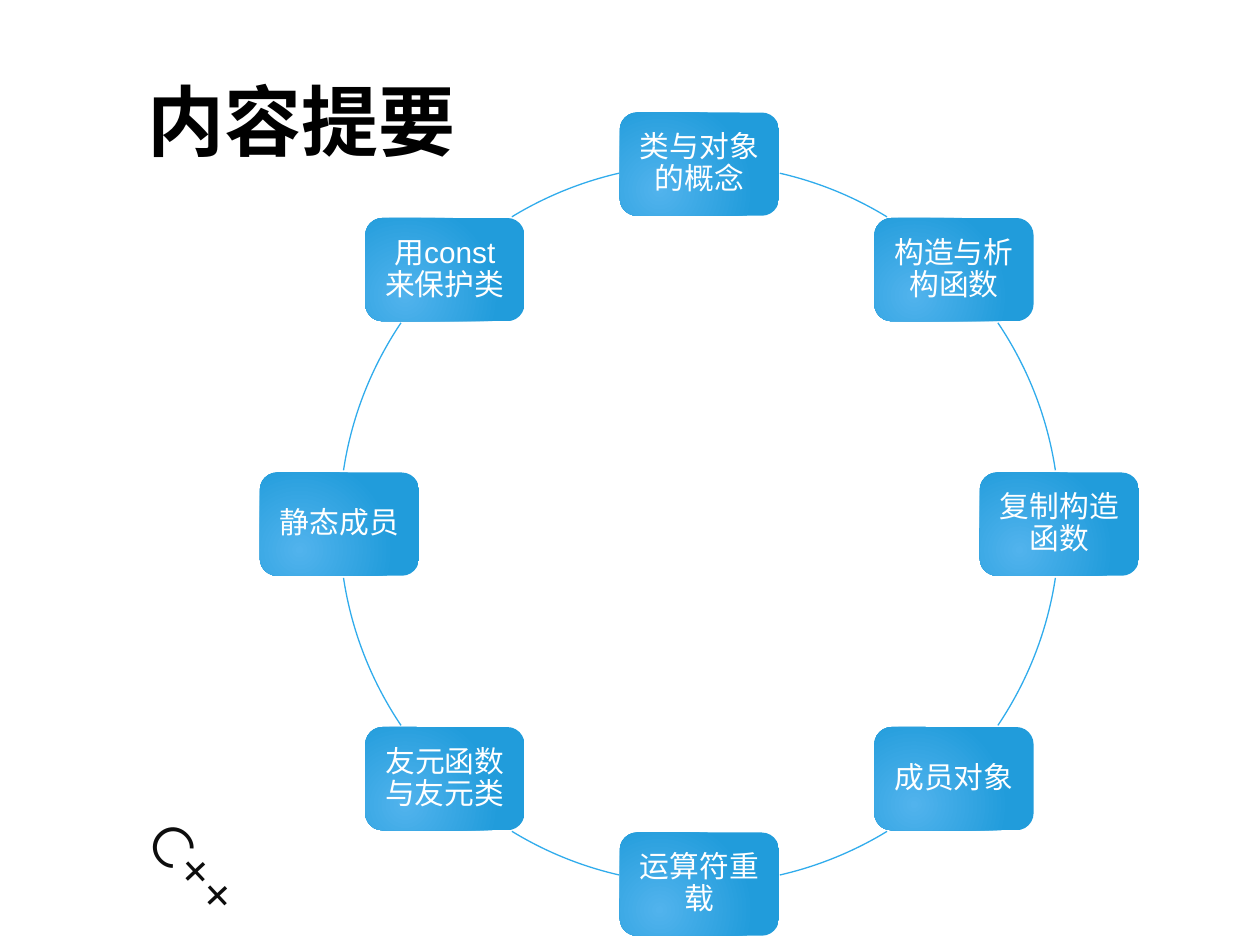
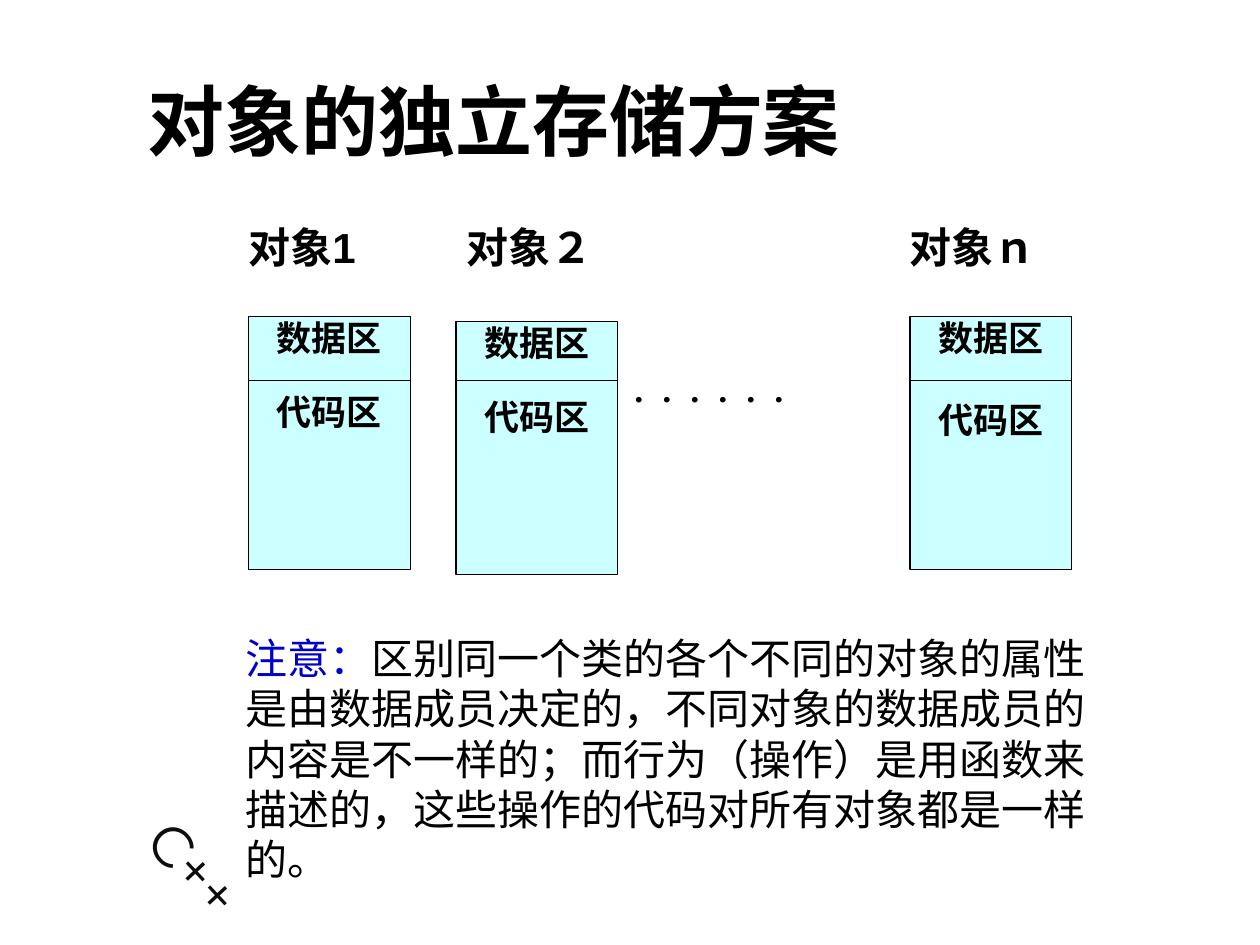
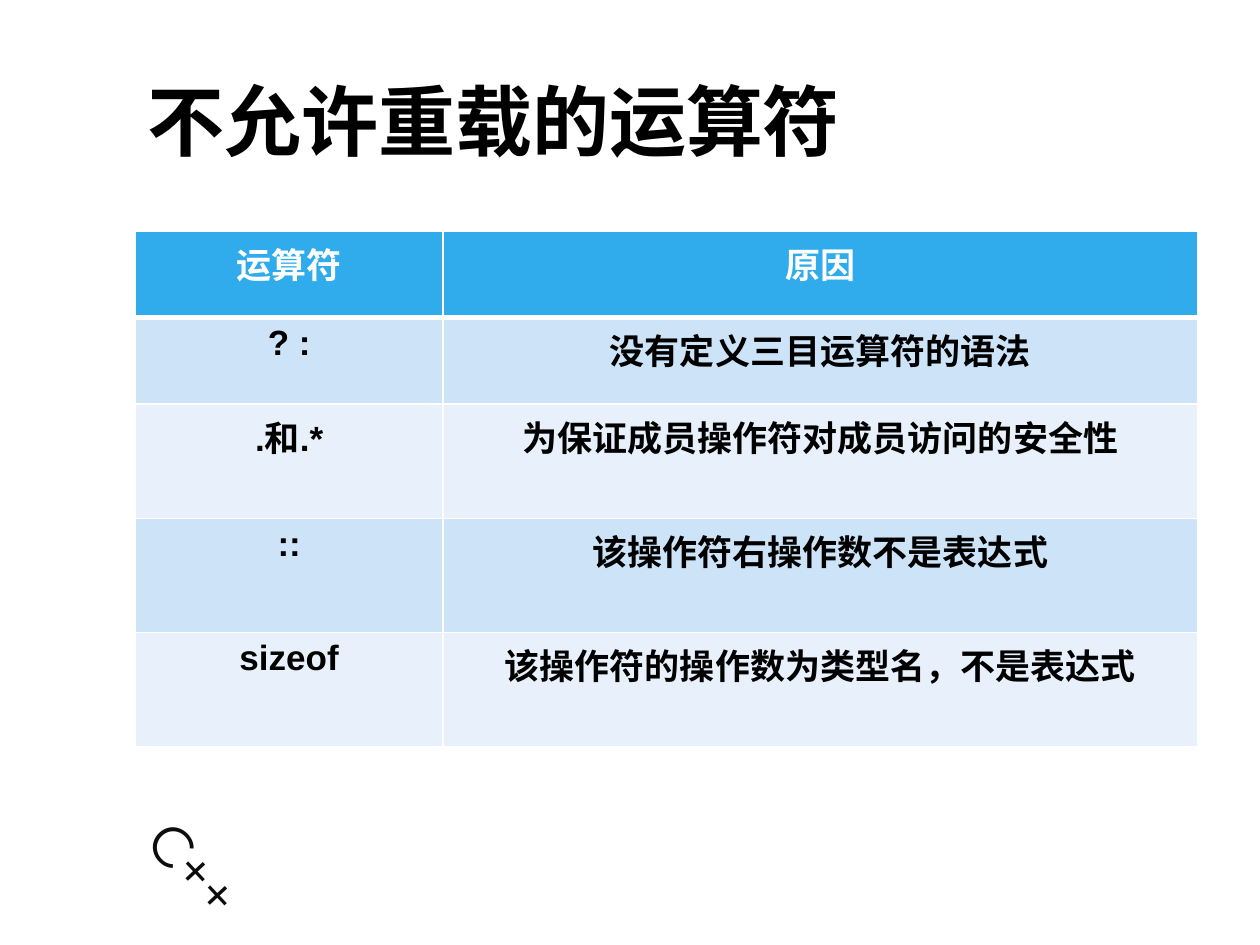
from lxml import etree
from pptx import Presentation
from pptx.dml.color import RGBColor
from pptx.enum.shapes import MSO_CONNECTOR, MSO_SHAPE
from pptx.enum.text import MSO_ANCHOR, PP_ALIGN
from pptx.oxml.ns import qn
from pptx.util import Pt
import math

ROUNDED, RECT, ARC = MSO_SHAPE.ROUNDED_RECTANGLE, MSO_SHAPE.RECTANGLE, MSO_SHAPE.ARC
STRAIGHT = MSO_CONNECTOR.STRAIGHT
TOP, MIDDLE = MSO_ANCHOR.TOP, MSO_ANCHOR.MIDDLE
LEFT, CENTER, JUSTIFY = PP_ALIGN.LEFT, PP_ALIGN.CENTER, PP_ALIGN.JUSTIFY

BLACK = RGBColor(0x00, 0x00, 0x00)
WHITE = RGBColor(0xFF, 0xFF, 0xFF)
INK = RGBColor(0x0D, 0x0D, 0x0D)
NOTICE = RGBColor(0x00, 0x00, 0xCC)
AQUA = RGBColor(0xCC, 0xFF, 0xFF)
SKY = RGBColor(0x30, 0xAC, 0xEC)
NODE_LIGHT = RGBColor(0x51, 0xB3, 0xED)
NODE_DARK = RGBColor(0x21, 0x9C, 0xDB)
BAND_DARK = RGBColor(0xCD, 0xE3, 0xF8)
BAND_LIGHT = RGBColor(0xE8, 0xF1, 0xFB)

TITLE_BOX = (77, 20.9, 607, 95)
BADGE_BOX = (67.7, 488.2, 116, 46)
TOPICS = ["类与对象的概念", "构造与析构函数", "复制构造函数", "成员对象",
          "运算符重载", "友元函数与友元类", "静态成员", "用const来保护类"]
QUARTER_ARCS = [(12.9, 31.4), (56, 81.4)]
OPERATORS = [
    ("运算符", "原因"),
    ("? :", "没有定义三目运算符的语法"),
    (".和.*", "为保证成员操作符对成员访问的安全性"),
    ("::", "该操作符右操作数不是表达式"),
    ("sizeof", "该操作符的操作数为类型名，不是表达式"),
]


def points(*lengths):
    return [Pt(length) for length in lengths]


def style(paragraph, size, color, bold=False, align=LEFT, face="Arial"):
    paragraph.alignment = align
    font = paragraph.font
    font.name, font.size, font.bold = face, Pt(size), bold
    font.color.rgb = color


def set_insets(frame, inset):
    frame.margin_left = frame.margin_right = Pt(inset)
    frame.margin_top = frame.margin_bottom = Pt(inset)


def add_text(slide, box, text, size, color, inset=None, anchor=TOP, **look):
    area = slide.shapes.add_textbox(*points(*box))
    frame = area.text_frame
    frame.word_wrap = True
    frame.vertical_anchor = anchor
    if inset is not None:
        set_insets(frame, inset)
    frame.text = text
    style(frame.paragraphs[0], size, color, **look)
    return area


def add_plain_shape(slide, preset, box):
    shape = slide.shapes.add_shape(preset, *points(*box))
    shape.shadow.inherit = False
    return shape


def add_page(deck, title):
    slide = deck.slides.add_slide(deck.slide_layouts[6])
    badge = add_text(slide, BADGE_BOX, "C++", 32, INK, face="Montserrat")
    badge.rotation = 46.9
    add_text(slide, TITLE_BOX, title, 44, BLACK, anchor=MIDDLE, bold=True)
    return slide


def fill_radial(shape):
    shape.fill.gradient()
    for stop, color in zip(shape.fill.gradient_stops, (NODE_LIGHT, NODE_DARK)):
        stop.color.rgb = color
    gradient = shape._element.spPr.find(qn("a:gradFill"))
    gradient.remove(gradient.find(qn("a:lin")))
    radial = etree.SubElement(gradient, qn("a:path"), {"path": "circle"})
    etree.SubElement(radial, qn("a:fillToRect"),
                     {"l": "50000", "t": "100000", "r": "100000", "b": "50000"})


def add_topic(slide, box, topic):
    node = add_plain_shape(slide, ROUNDED, box)
    fill_radial(node)
    node.line.fill.background()
    frame = node.text_frame
    frame.word_wrap = True
    frame.vertical_anchor = MIDDLE
    set_insets(frame, 8)
    frame.text = topic
    style(frame.paragraphs[0], 17, WHITE, align=CENTER)
    frame.paragraphs[0].line_spacing = 0.9


def add_ring_arc(slide, box, start, end):
    arc = add_plain_shape(slide, ARC, box)
    for index, bearing in enumerate((start, end)):
        arc.adjustments[index] = (bearing - 90) % 360 * 0.6
    arc.fill.background()
    arc.line.color.rgb = SKY
    arc.line.width = Pt(0.75)


def add_topic_ring(slide, box):
    left, top, diameter, _ = box
    radius = diameter / 2
    width, height = 91, 59
    for index, topic in enumerate(TOPICS):
        angle = math.tau * index / len(TOPICS)
        x = left + radius + radius * math.sin(angle)
        y = top + radius - radius * math.cos(angle)
        add_topic(slide, (x - width / 2, y - height / 2, width, height), topic)
    half = QUARTER_ARCS + [(180 - end, 180 - start) for start, end in QUARTER_ARCS]
    for turn in (0, 180):
        for start, end in half:
            add_ring_arc(slide, box, start + turn, end + turn)


def add_object(slide, box, divider, gap):
    left, top, width, _ = box
    store = add_plain_shape(slide, RECT, box)
    store.fill.solid()
    store.fill.fore_color.rgb = AQUA
    store.line.color.rgb = BLACK
    store.line.width = Pt(0.75)
    frame = store.text_frame
    frame.word_wrap = True
    frame.vertical_anchor = TOP
    set_insets(frame, 0)
    frame.text = "数据区\n代码区"
    for paragraph in frame.paragraphs:
        style(paragraph, 20, BLACK, bold=True, align=CENTER)
    frame.paragraphs[1].space_before = Pt(gap)
    y = top + divider
    split = slide.shapes.add_connector(STRAIGHT, *points(left, y, left + width, y))
    split.line.color.rgb = BLACK
    split.line.width = Pt(0.75)
    etree.SubElement(split._element.spPr, qn("a:effectLst"))


def add_storage(slide, box):
    left, top, width, height = box
    objects = [("对象1", 0, 0, 0, 36.7, 18.5),
               ("对象２", 118.6, 124.6, 2.9, 33.8, 18.5),
               ("对象ｎ", 378, 378, 0, 36.7, 23)]
    for label, x, label_x, drop, divider, gap in objects:
        add_text(slide, (left + label_x, top, 95, 36), label, 24, BLACK,
                 inset=0, bold=True, align=JUSTIFY)
        add_object(slide, (left + x, top + 54 + drop, 92.5, height - 54), divider, gap)
    add_text(slide, (left + 219, top + 87.8, 160, 36), "．．．．．．", 16, BLACK,
             inset=0, bold=True, align=JUSTIFY)


def add_note(slide, box):
    note = add_text(slide, box, "注意：", 24, BLACK)
    paragraph = note.text_frame.paragraphs[0]
    paragraph.runs[0].font.color.rgb = NOTICE
    paragraph.add_run().text = (
        "区别同一个类的各个不同的对象的属性是由数据成员决定的，"
        "不同对象的数据成员的内容是不一样的；而行为（操作）是用函数来描述的，"
        "这些操作的代码对所有对象都是一样的。")


def add_borders(cell, row):
    properties = cell._tc.get_or_add_tcPr()
    for side in "LRTB":
        thick = (row, side) in ((0, "B"), (1, "T"))
        border = etree.SubElement(properties, qn("a:ln" + side),
                                  {"w": str(Pt(3 if thick else 1))})
        fill = etree.SubElement(border, qn("a:solidFill"))
        etree.SubElement(fill, qn("a:srgbClr"), {"val": str(WHITE)})


def add_operator_table(slide, box):
    table = slide.shapes.add_table(len(OPERATORS), 2, *points(*box)).table
    for column, width in zip(table.columns, (175.7, 431.3)):
        column.width = Pt(width)
    for row, height in zip(table.rows, (49.5, 49.5, 65.2, 65.2, 65.2)):
        row.height = Pt(height)
    for row, entries in enumerate(OPERATORS):
        band = SKY if row == 0 else BAND_DARK if row % 2 else BAND_LIGHT
        for column, entry in enumerate(entries):
            cell = table.cell(row, column)
            add_borders(cell, row)
            cell.fill.solid()
            cell.fill.fore_color.rgb = band
            cell.text = entry
            style(cell.text_frame.paragraphs[0], 20, BLACK if row else WHITE,
                  bold=True, align=CENTER)


def main():
    deck = Presentation()
    deck.slide_width, deck.slide_height = points(720, 540)
    add_topic_ring(add_page(deck, "内容提要"), (194, 93.8, 411.4, 411.4))
    storage = add_page(deck, "对象的独立存储方案")
    add_storage(storage, (142, 126.7, 470.5, 198.7))
    add_note(storage, (133.2, 357.8, 505.4, 152.6))
    add_operator_table(add_page(deck, "不允许重载的运算符"), (77.4, 132, 607, 294.6))
    deck.save("out.pptx")


if __name__ == "__main__":
    main()
